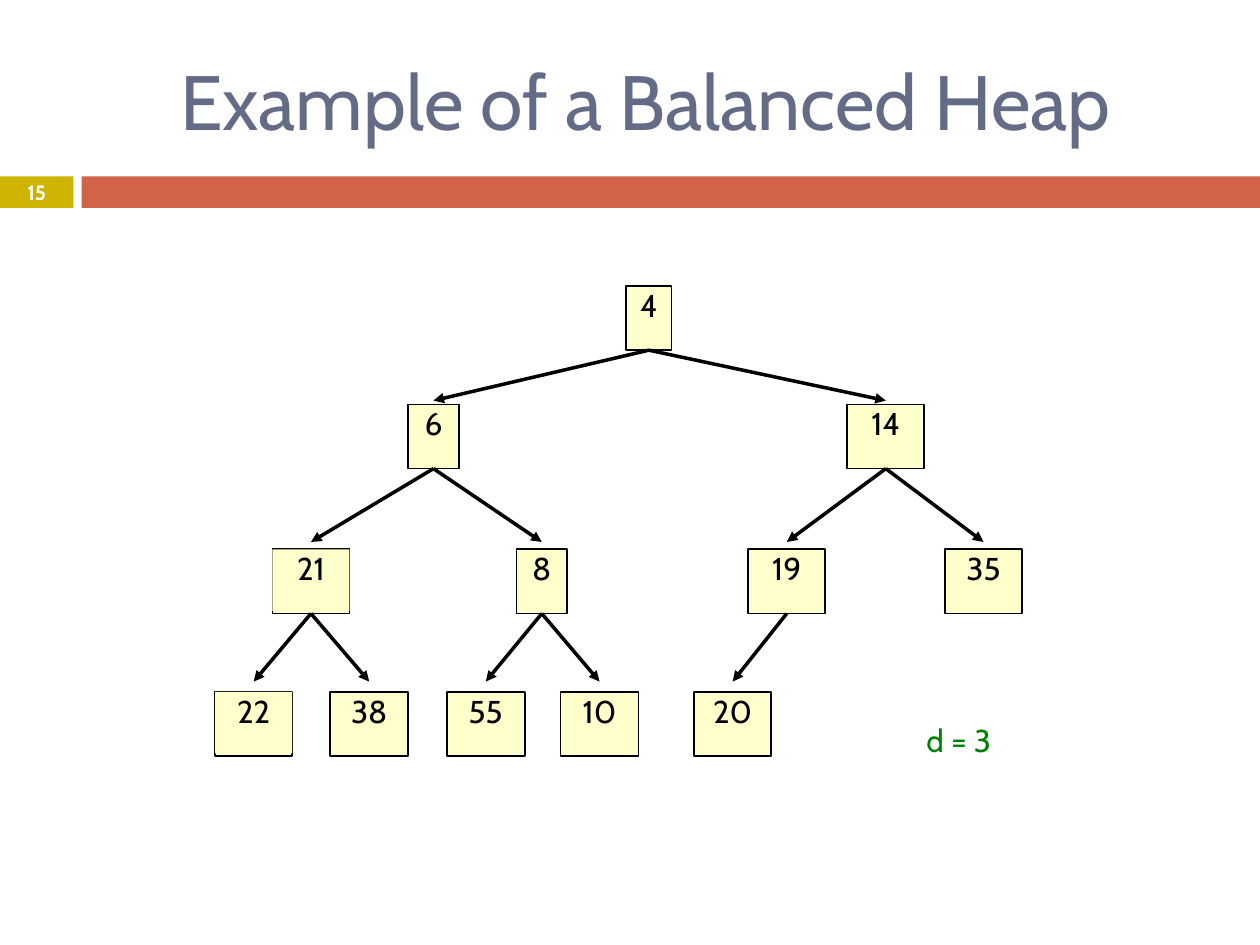
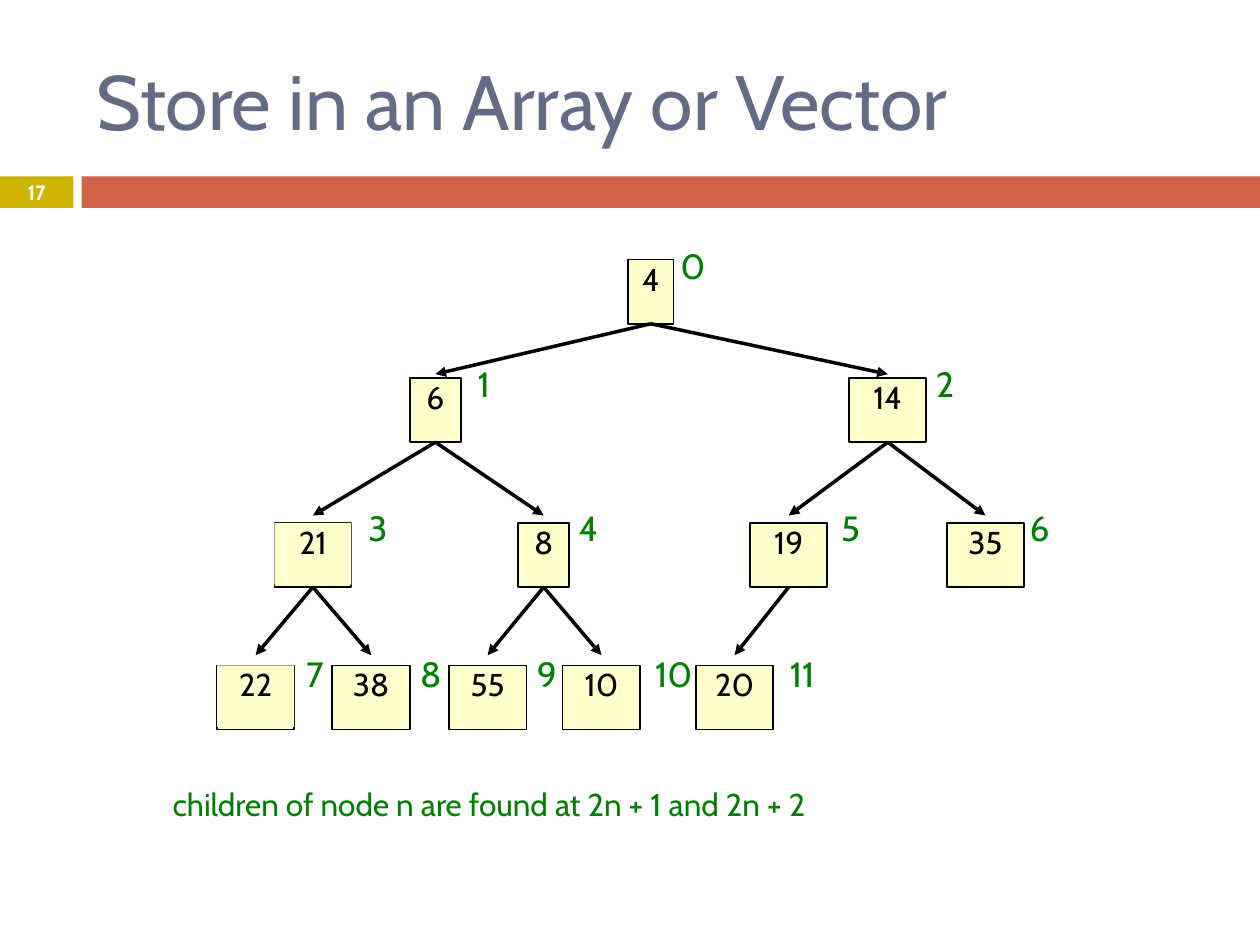
"""Build two slides: a balanced heap as a tree, and the same heap with array indices."""
import pptx
import pptx.dml.color
import pptx.enum.shapes
import pptx.enum.text
import pptx.oxml
import pptx.oxml.ns
import pptx.util

Pt = pptx.util.Pt
RGBColor = pptx.dml.color.RGBColor
ALIGN = pptx.enum.text.PP_ALIGN
ANCHOR = pptx.enum.text.MSO_ANCHOR
RECTANGLE = pptx.enum.shapes.MSO_SHAPE.RECTANGLE
STRAIGHT = pptx.enum.shapes.MSO_CONNECTOR.STRAIGHT

FONT = "Cabin"
SLATE = RGBColor(0x64, 0x6B, 0x86)
OLIVE = RGBColor(0xCC, 0xB4, 0x00)
BRICK = RGBColor(0xD1, 0x63, 0x49)
CREAM = RGBColor(0xFF, 0xFF, 0xCC)
GREEN = RGBColor(0x00, 0x80, 0x00)
BLACK = RGBColor(0x00, 0x00, 0x00)
WHITE = RGBColor(0xFF, 0xFF, 0xFF)

# Heap order: value, centre, width, left of its index label
HEAP = [
    ("4", 370.8, 26, 384.5),
    ("6", 247.7, 29, 265),
    ("14", 506.2, 44, 528.5),
    ("21", 177.7, 44, 204.5),
    ("8", 309.6, 29, 324.7),
    ("19", 449.6, 44, 474.5),
    ("35", 562, 44, 582.5),
    ("22", 145, 44, 168.5),
    ("38", 211, 44.5, 234.7),
    ("55", 277.6, 44.5, 301),
    ("10", 342.6, 44.5, 368),
    ("20", 418.7, 44, 441.4),
]
FRAMED = {"21", "22"}
LEVEL_TOPS = [163.4, 231.1, 313.9, 395.3]
ARROW_GAPS = [0, 2.2, 4.2, 5.8]
INDEX_RISES = [8.6, 8.6, 9.2, 7.4]
NODE_HEIGHT = 36.7
FACE_HEIGHT = 35.3
INSET = 2.9

SLIDES = [
    {"title": "Example of a Balanced Heap", "align": ALIGN.CENTER, "number": "15",
     "shift": (0, 0), "indexed": False,
     "note": ("d = 3", 514.8, 411.8, 66.2, ALIGN.CENTER, False)},
    {"title": "Store in an Array or Vector", "align": ALIGN.LEFT, "number": "17",
     "shift": (1.1, -15.1), "indexed": True,
     "note": ("children of node n are found at 2n + 1 and 2n + 2",
              95.8, 448.6, 537.8, ALIGN.LEFT, True)},
]


def write(shape, text, size, color, align=ALIGN.CENTER, bold=False):
    frame = shape.text_frame
    paragraph = frame.paragraphs[0]
    paragraph.text = text
    paragraph.alignment = align
    font = paragraph.font
    font.name, font.size, font.bold = FONT, Pt(size), bold
    font.color.rgb = color
    return frame, paragraph


def write_inset(shape, text, size, color, space, align=ALIGN.CENTER, wrap=True):
    frame, paragraph = write(shape, text, size, color, align)
    frame.margin_left = frame.margin_top = frame.margin_bottom = 0
    frame.margin_right = Pt(INSET)
    frame.vertical_anchor = ANCHOR.TOP
    frame.word_wrap = wrap
    if not wrap:
        frame.auto_size = pptx.enum.text.MSO_AUTO_SIZE.SHAPE_TO_FIT_TEXT
    paragraph.space_before = Pt(space)
    properties = paragraph._p.get_or_add_pPr()
    properties.set("marL", str(int(Pt(INSET))))
    properties.set("indent", "0")


def add_box(shapes, left, top, width, height, fill, outlined=False):
    box = shapes.add_shape(RECTANGLE, Pt(left), Pt(top), Pt(width), Pt(height))
    box.shadow.inherit = False
    box.fill.solid()
    box.fill.fore_color.rgb = fill
    if outlined:
        box.line.color.rgb = BLACK
        box.line.width = Pt(1)
    else:
        box.line.fill.background()
    return box


def add_text(shapes, left, top, width, height):
    return shapes.add_textbox(Pt(left), Pt(top), Pt(width), Pt(height))


def add_arrow(shapes, start, end):
    arrow = shapes.add_connector(STRAIGHT, *(Pt(length) for length in start + end))
    arrow.line.color.rgb = BLACK
    arrow.line.width = Pt(2)
    pptx.oxml.ns.qn("a:ln")
    head = pptx.oxml.parse_xml(
        f'<a:tailEnd {pptx.oxml.ns.nsdecls("a")} type="triangle"/>')
    arrow.line._get_or_add_ln().append(head)
    arrow._element.spPr.append(
        pptx.oxml.parse_xml(f'<a:effectLst {pptx.oxml.ns.nsdecls("a")}/>'))


def add_chrome(shapes, title, align, number):
    add_box(shapes, 0, 100.8, 42, 18, OLIVE)
    add_box(shapes, 46.6, 100.8, 673.4, 18, BRICK)
    for text, place, style in (
        (title, (48, 18, 642, 78), (44, SLATE, align)),
        (number, (0, 100, 42, 19.4), (11.9, WHITE, ALIGN.CENTER, True)),
    ):
        frame, _ = write(add_text(shapes, *place), text, *style)
        frame.word_wrap = True
        frame.vertical_anchor = ANCHOR.MIDDLE


def add_node(shapes, value, left, top, width):
    if value in FRAMED:
        shapes = shapes.add_group_shape().shapes
    node = add_box(shapes, left, top, width, NODE_HEIGHT, CREAM, True)
    if value in FRAMED:
        node = add_box(shapes, left, top, width, FACE_HEIGHT, CREAM)
    write_inset(node, value, 18, BLACK, 14)


def add_heap(shapes, shift, indexed):
    across, down = shift
    levels = [(index + 1).bit_length() - 1 for index in range(len(HEAP))]
    tops = [LEVEL_TOPS[level] + down for level in levels]
    centres = [centre + across for _, centre, _, _ in HEAP]
    if indexed:
        for index, (_, _, _, label_left) in enumerate(HEAP):
            label_top = tops[index] - INDEX_RISES[levels[index]]
            label_width = 23 if index < 10 else 34
            label = add_text(shapes, label_left, label_top, label_width, 30.2)
            write_inset(label, str(index), 20, GREEN, 11.5, wrap=False)
    for (value, _, width, _), centre, top in zip(HEAP, centres, tops):
        add_node(shapes, value, centre - width / 2, top, width)
    for child in range(1, len(HEAP)):
        parent = (child - 1) // 2
        add_arrow(shapes, (centres[parent], tops[parent] + NODE_HEIGHT),
                  (centres[child], tops[child] - ARROW_GAPS[levels[child]]))


deck = pptx.Presentation()
deck.slide_width, deck.slide_height = Pt(720), Pt(540)
for content in SLIDES:
    shapes = deck.slides.add_slide(deck.slide_layouts[6]).shapes
    add_chrome(shapes, content["title"], content["align"], content["number"])
    note, left, top, width, align, wrap = content["note"]
    write_inset(add_text(shapes, left, top, width, 35.3), note, 18, GREEN, 14, align, wrap)
    add_heap(shapes, content["shift"], content["indexed"])
deck.save("out.pptx")
